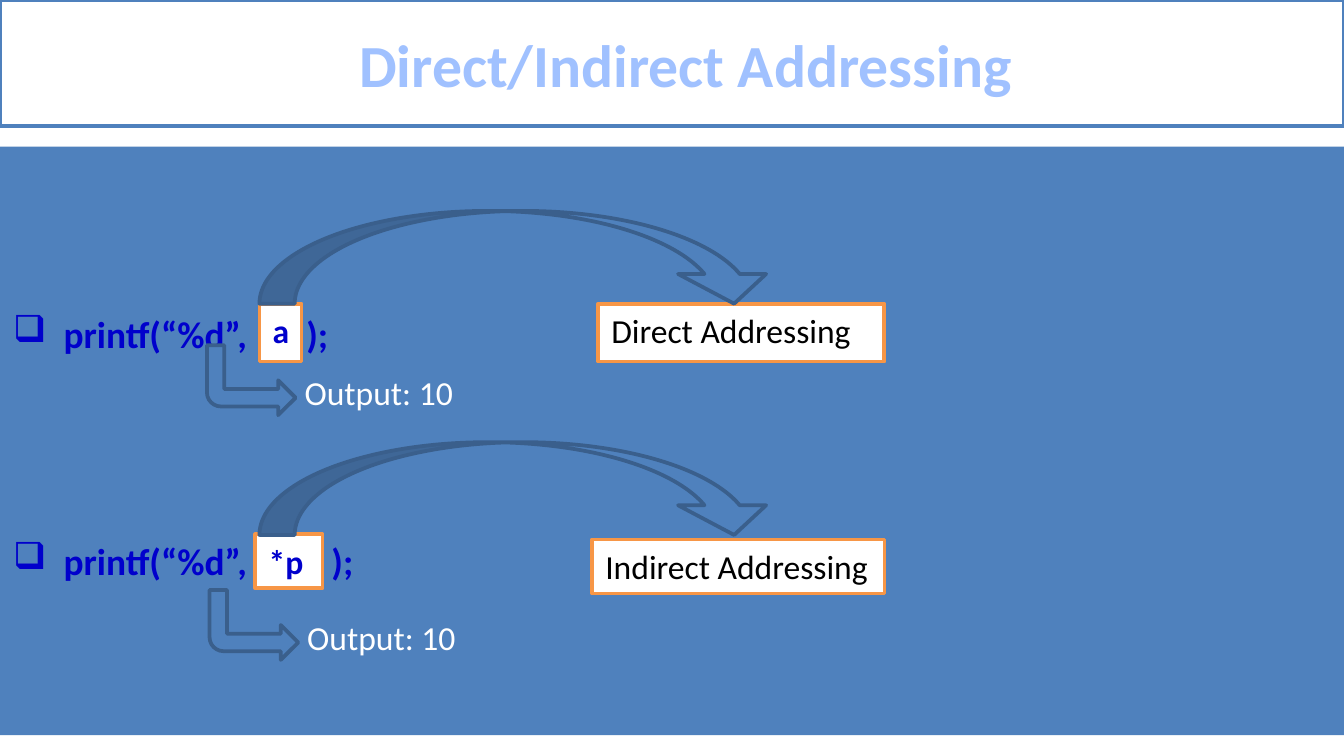
"""Build a slide that contrasts direct and indirect addressing."""
from lxml import etree
from pptx import Presentation
from pptx.dml.color import RGBColor
from pptx.enum import shapes as kinds, text as txt
from pptx.oxml import ns
from pptx.util import Pt

WHITE = RGBColor(0xFF, 0xFF, 0xFF)
BLACK = RGBColor(0, 0, 0)
BLUE = RGBColor(0x4F, 0x81, 0xBD)
DARK_BLUE = RGBColor(0x3A, 0x5F, 0x8C)
PALE_BLUE = RGBColor(0xA0, 0xC1, 0xFF)
CODE_BLUE = RGBColor(0, 0, 0xCC)
ORANGE = RGBColor(0xF7, 0x96, 0x46)
SHAPE = kinds.MSO_SHAPE

deck = Presentation()
deck.slide_width, deck.slide_height = Pt(720), Pt(405)
slide = deck.slides.add_slide(deck.slide_layouts[6])


def add_shape(kind, box, fill, line=None, adjustments=()):
    shape = slide.shapes.add_shape(kind, *map(Pt, box))
    shape.shadow.inherit = False
    shape.fill.solid()
    shape.fill.fore_color.rgb = fill
    if line is None:
        shape.line.fill.background()
    else:
        shape.line.color.rgb = line
        shape.line.width = Pt(2)
    for index, value in enumerate(adjustments):
        shape.adjustments[index] = value
    return shape


def write(frame, content, size, color, bold=False, align=txt.PP_ALIGN.LEFT,
          anchor=txt.MSO_ANCHOR.TOP, wrap=True):
    frame.text = content
    frame.word_wrap = wrap
    frame.vertical_anchor = anchor
    for paragraph in frame.paragraphs:
        paragraph.alignment = align
        for run in paragraph.runs:
            run.font.name = "Calibri"
            run.font.size = Pt(size)
            run.font.bold = bold
            run.font.color.rgb = color


add_shape(SHAPE.RECTANGLE, (0, 78.5, 720, 315.4), BLUE)
title = add_shape(SHAPE.RECTANGLE, (0, 0, 720, 67.7), WHITE, BLUE)
write(title.text_frame, "Direct/Indirect Addressing", 32, PALE_BLUE, True,
      txt.PP_ALIGN.CENTER, txt.MSO_ANCHOR.MIDDLE)
title.text_frame.margin_left = Pt(22)

statements = slide.shapes.add_textbox(Pt(0), Pt(163.2), Pt(720), Pt(154)).text_frame
write(statements, "printf(“%d”,\t);\nprintf(“%d”,\t);", 20, CODE_BLUE, True)
statements.paragraphs[1].space_before = Pt(97.6)
for paragraph, closing in zip(statements.paragraphs, (157, 170.5)):
    properties = paragraph._p.get_or_add_pPr()
    properties.set("marL", str(Pt(27)))
    properties.set("indent", str(Pt(-27)))
    etree.SubElement(properties, ns.qn("a:buChar"), char="❑")
    tabs = etree.SubElement(properties, ns.qn("a:tabLst"))
    etree.SubElement(tabs, ns.qn("a:tab"), pos=str(Pt(closing)), algn="l")

examples = [
    ("a", (139, 162.7, 22.5, 31), "Direct Addressing", (320.4, 162.7, 153.4, 31),
     113, (110.9, 185)),
    ("*p", (136.8, 286.2, 36, 29), "Indirect Addressing", (317.2, 289, 156.6, 29),
     236.9, (112.3, 316.1)),
]
for operand, operand_box, mode, mode_box, arc_top, (bend_left, bend_top) in examples:
    operand_shape = add_shape(SHAPE.RECTANGLE, operand_box, WHITE, ORANGE)
    write(operand_shape.text_frame, operand, 18, CODE_BLUE, True)
    mode_shape = add_shape(SHAPE.RECTANGLE, mode_box, WHITE, ORANGE)
    write(mode_shape.text_frame, mode, 18, BLACK)
    add_shape(SHAPE.CURVED_DOWN_ARROW, (139, arc_top, 277.9, 49.7), BLUE, DARK_BLUE,
              (0.38, 0.95, 0.32))
    bend = add_shape(SHAPE.BENT_ARROW, (bend_left, bend_top, 47.5, 37.4), BLUE, DARK_BLUE,
                     (0.25, 0.25, 0.25, 0.2))
    bend.rotation = 180
    bend._element.spPr.xfrm.set("flipH", "1")
    output = slide.shapes.add_textbox(Pt(bend_left + 45.2), Pt(bend_top + 10.8),
                                      Pt(95), Pt(29))
    write(output.text_frame, "Output: 10", 18, WHITE, wrap=False)

deck.save("out.pptx")
